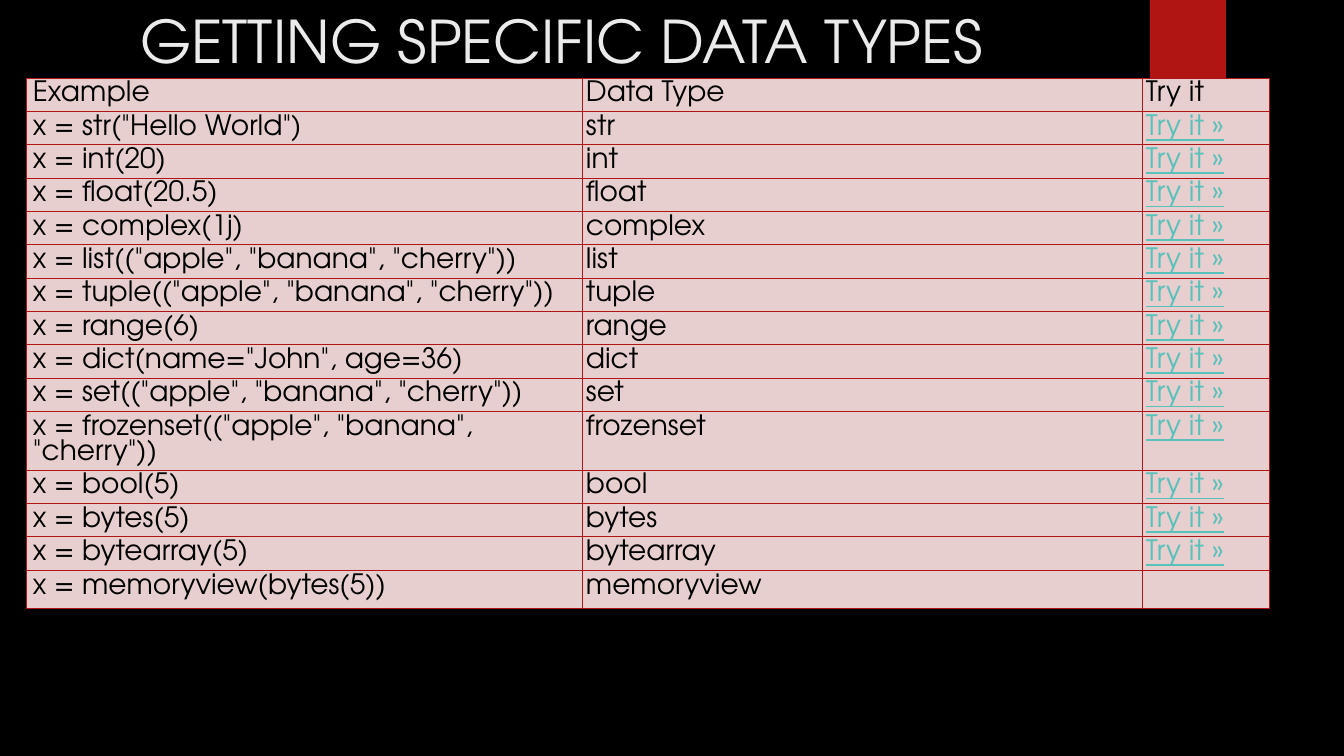
from dataclasses import dataclass

from lxml.etree import SubElement
from pptx import Presentation
from pptx.dml.color import RGBColor
from pptx.enum.shapes import MSO_SHAPE
from pptx.enum.text import MSO_ANCHOR, PP_ALIGN
from pptx.oxml.ns import qn
from pptx.util import Emu, Pt


@dataclass(frozen=True)
class Theme:
    font: str = "TeX Gyre Adventor"
    background: str = "000000"
    accent: str = "B01513"
    title: str = "EBEBEB"
    cell: str = "E7CFCF"
    text: str = "000000"
    link: str = "58C1BA"
    title_size: float = 42
    cell_size: float = 20
    cell_leading: float = 18.1
    border_width: float = 0.75


theme = Theme()
EMU_PER_PX = 914400 / 100.8


def px(length):
    return Emu(round(length * EMU_PER_PX))


def write(frame, text, size, color, underline=False, leading=None):
    para = frame.paragraphs[0]
    para.alignment = PP_ALIGN.LEFT
    if leading:
        para.line_spacing = Pt(leading)
    if text:
        span = para.add_run()
        span.text = text
        span.font.name = theme.font
        span.font.size = Pt(size)
        span.font.color.rgb = RGBColor.from_string(color)
        if underline:
            span.font.underline = True


deck = Presentation()
deck.slide_width, deck.slide_height = px(1344), px(756)
page = deck.slides.add_slide(deck.slide_layouts[5])
page.background.fill.solid()
page.background.fill.fore_color.rgb = RGBColor.from_string(theme.background)

# Red tab at the top edge
tab = page.shapes.add_shape(MSO_SHAPE.RECTANGLE, px(1150), px(0), px(76), px(126))
tab.shadow.inherit = False
tab.fill.solid()
tab.fill.fore_color.rgb = RGBColor.from_string(theme.accent)
tab.line.fill.background()

# Title
title = page.shapes.title
title.left, title.top, title.width, title.height = px(130), px(0), px(1037), px(154)
title.text_frame.vertical_anchor = MSO_ANCHOR.TOP
title.text_frame.word_wrap = True
write(title.text_frame, "GETTING SPECIFIC DATA TYPES", theme.title_size, theme.title)

# Table of constructors
TRY_IT = "Try it »"
examples = [
    ('x = str("Hello World")', "str"),
    ("x = int(20)", "int"),
    ("x = float(20.5)", "float"),
    ("x = complex(1j)", "complex"),
    ('x = list(("apple", "banana", "cherry"))', "list"),
    ('x = tuple(("apple", "banana", "cherry"))', "tuple"),
    ("x = range(6)", "range"),
    ('x = dict(name="John", age=36)', "dict"),
    ('x = set(("apple", "banana", "cherry"))', "set"),
    ('x = frozenset(("apple", "banana", "cherry"))', "frozenset"),
    ("x = bool(5)", "bool"),
    ("x = bytes(5)", "bytes"),
    ("x = bytearray(5)", "bytearray"),
]
rows = [
    ("Example", "Data Type", "Try it"),
    *((code, kind, TRY_IT) for code, kind in examples),
    ("x = memoryview(bytes(5))", "memoryview", ""),
]
column_widths = [556, 560, 128]
row_height = 33

holder = page.shapes.add_table(
    len(rows), len(column_widths), px(26), px(78),
    px(sum(column_widths)), px(row_height * len(rows)),
)
table = holder.table
for column, width in zip(table.columns, column_widths):
    column.width = px(width)

for row_index, row in enumerate(rows):
    table.rows[row_index].height = px(row_height)
    for column_index, text in enumerate(row):
        cell = table.cell(row_index, column_index)
        cell.margin_left = px(7 if column_index == 0 else 4)
        cell.margin_right = cell.margin_top = cell.margin_bottom = px(4)
        properties = cell._tc.get_or_add_tcPr()
        for side in ("a:lnL", "a:lnR", "a:lnT", "a:lnB"):
            border = SubElement(properties, qn(side), w=str(Pt(theme.border_width)))
            fill = SubElement(border, qn("a:solidFill"))
            SubElement(fill, qn("a:srgbClr"), val=theme.accent)
        cell.fill.solid()
        cell.fill.fore_color.rgb = RGBColor.from_string(theme.cell)
        is_link = text == TRY_IT
        write(
            cell.text_frame, text, theme.cell_size,
            theme.link if is_link else theme.text,
            underline=is_link, leading=theme.cell_leading,
        )

deck.save("out.pptx")
